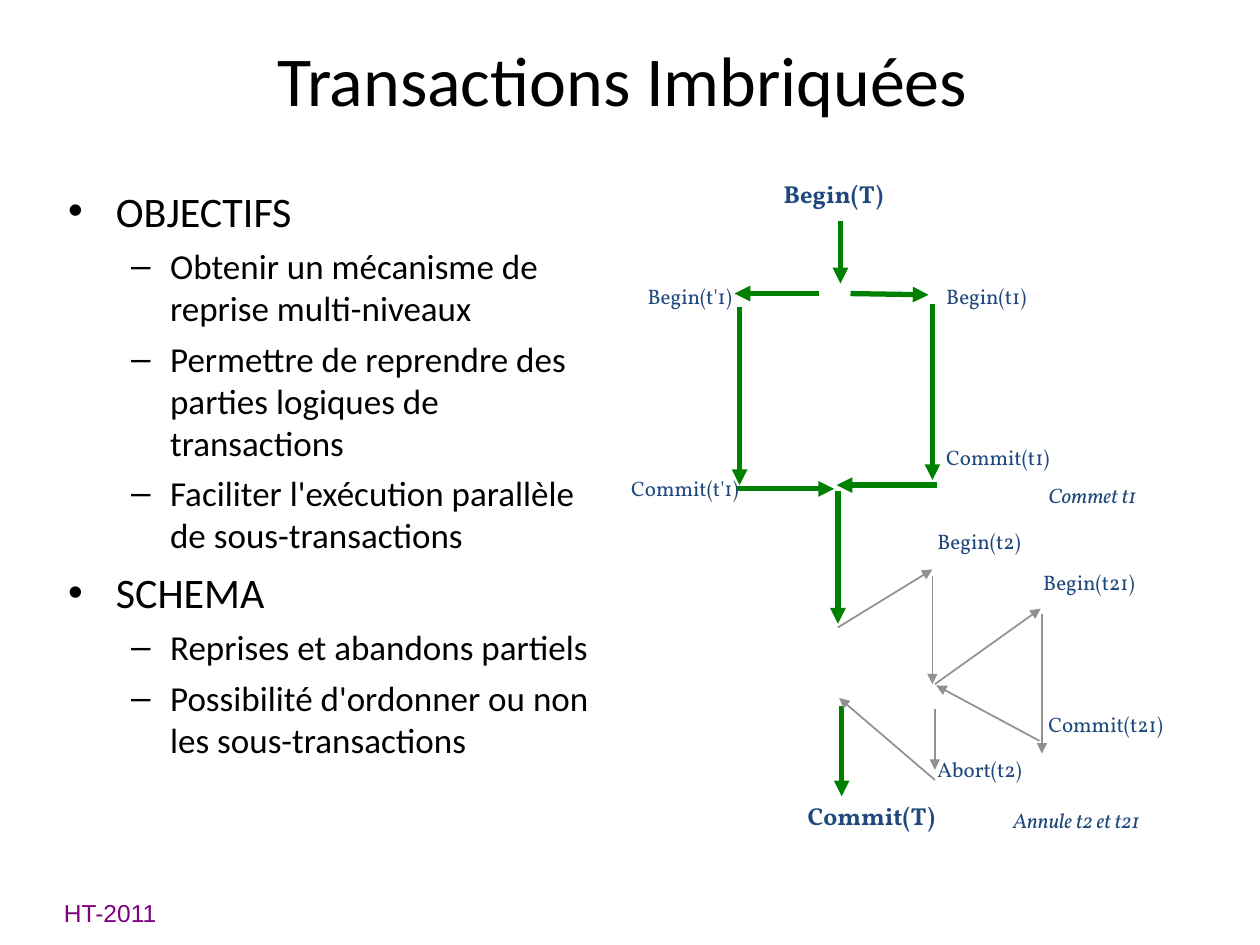
import pptx
import pptx.util
import pptx.dml.color
import pptx.enum.shapes
import pptx.enum.text
import pptx.oxml.ns
from lxml import etree

PX = 9144  # EMU per px, 100 px to the inch
COLORS = {"done": "008000", "partial": "919191", "label": "1F497D",
          "footer": "800080", "text": "000000"}


def px(length):
    return pptx.util.Emu(length * PX)


def rgb(name):
    return pptx.dml.color.RGBColor.from_string(COLORS[name])


class SlideBuilder:
    body_font = "Calibri"
    label_font = "Vollkorn"
    line_widths = {"done": 3, "partial": 1}
    # level: (size, left margin, indent, space before)
    levels = {0: (24, 38, -38, 6), 1: (20, 81, -31, 5)}

    def __init__(self, slide):
        self.slide = slide

    def style(self, font, color, **values):
        for name, value in values.items():
            setattr(font, name, value)
        font.color.rgb = rgb(color)

    def place(self, shape, box):
        for name, value in zip(("left", "top", "width", "height"), box):
            setattr(shape, name, px(value))

    def title(self, text, box):
        heading = self.slide.shapes.title
        self.place(heading, box)
        frame = heading.text_frame
        frame.text = text
        frame.auto_size = pptx.enum.text.MSO_AUTO_SIZE.NONE
        frame.vertical_anchor = pptx.enum.text.MSO_ANCHOR.MIDDLE
        paragraph = frame.paragraphs[0]
        paragraph.alignment = pptx.enum.text.PP_ALIGN.CENTER
        self.style(paragraph.runs[0].font, "text",
                   name=self.body_font, size=pptx.util.Pt(40))

    def outline(self, items, box):
        body = self.slide.placeholders[1]
        self.place(body, box)
        frame = body.text_frame
        frame.text = "\n".join(text for _, text in items)
        frame.auto_size = pptx.enum.text.MSO_AUTO_SIZE.NONE
        for paragraph, (level, _) in zip(frame.paragraphs, items):
            size, margin, indent, before = self.levels[level]
            paragraph.level = level
            paragraph.space_before = pptx.util.Pt(before)
            properties = paragraph._p.get_or_add_pPr()
            properties.set("marL", str(px(margin)))
            properties.set("indent", str(px(indent)))
            self.style(paragraph.runs[0].font, "text",
                       name=self.body_font, size=pptx.util.Pt(size))

    def label(self, text, box, color="label", insets=(5, 2, 5, 2),
              spacing=0.92, wrap=False, **font):
        label = self.slide.shapes.add_textbox(*map(px, box))
        frame = label.text_frame
        frame.word_wrap = wrap
        frame.auto_size = pptx.enum.text.MSO_AUTO_SIZE.SHAPE_TO_FIT_TEXT
        for side, inset in zip(("left", "top", "right", "bottom"), insets):
            setattr(frame, f"margin_{side}", px(inset))
        frame.text = text
        paragraph = frame.paragraphs[0]
        paragraph.line_spacing = spacing
        values = {"name": self.label_font, "size": pptx.util.Pt(12), **font}
        self.style(paragraph.runs[0].font, color, **values)

    def arrow(self, kind, ends):
        arrow = self.slide.shapes.add_connector(
            pptx.enum.shapes.MSO_CONNECTOR.STRAIGHT, *map(px, ends))
        arrow.line.width = pptx.util.Pt(self.line_widths[kind])
        arrow.line.color.rgb = rgb(kind)
        qn = pptx.oxml.ns.qn
        etree.SubElement(arrow.line._get_or_add_ln(), qn("a:tailEnd"), type="triangle")
        etree.SubElement(arrow._element.spPr, qn("a:effectLst"))


def main():
    deck = pptx.Presentation()
    deck.slide_width, deck.slide_height = px(1000), px(750)
    builder = SlideBuilder(deck.slides.add_slide(deck.slide_layouts[1]))

    # Title and outline
    builder.title("Transactions Imbriquées", (44, 25, 900, 75))
    builder.outline([
        (0, "OBJECTIFS"),
        (1, "Obtenir un mécanisme de reprise multi-niveaux"),
        (1, "Permettre de reprendre des parties logiques de transactions"),
        (1, "Faciliter l'exécution parallèle de sous-transactions"),
        (0, "SCHEMA"),
        (1, "Reprises et abandons partiels"),
        (1, "Possibilité d'ordonner ou non les sous-transactions"),
    ], (44, 142, 442, 550))

    # Arrows: x and y of the start, then of the head
    paths = {
        "done": [
            (667, 175, 667, 225),  # T splits into t1 and t'1
            (675, 233, 737, 234), (740, 241, 740, 381), (744, 385, 664, 385),
            (650, 233, 583, 233), (587, 244, 587, 385), (585, 388, 662, 388),
            (665, 390, 665, 495), (668, 560, 668, 632),  # T goes on
        ],
        "partial": [
            (665, 498, 740, 452), (740, 457, 740, 543),  # t2
            (742, 543, 826, 483), (827, 487, 827, 598), (825, 588, 743, 544),  # t21
            (742, 563, 742, 611), (742, 619, 666, 554),  # abort of t2
        ],
    }
    for kind, arrows in paths.items():
        for ends in arrows:
            builder.arrow(kind, ends)

    # Main transaction
    main_font = {"size": pptx.util.Pt(14), "bold": True}
    builder.label("Begin(T)", (617, 142, 100, 25), wrap=True, **main_font)
    builder.label("Commit(T)", (636, 636, 116, 25), wrap=True, **main_font)

    # Nested transactions
    for text, left, top, width in [
        ("Begin(t1)", 746, 225, 81), ("Commit(t1)", 746, 353, 98),
        ("Begin(t'1)", 509, 225, 84), ("Commit(t'1)", 496, 377, 102),
        ("Begin(t2)", 739, 419, 81), ("Abort(t2)", 739, 600, 81),
        ("Begin(t21)", 823, 452, 90), ("Commit(t21)", 827, 565, 108),
    ]:
        builder.label(text, (left, top, width, 22))

    # Outcomes
    builder.label("Commet t1", (827, 383, 93, 22), italic=True)
    builder.label("Annule t2 et t21", (799, 641, 132, 22), italic=True)

    # Footer
    builder.label("HT-2011", (41, 708, 96, 28), color="footer", insets=(10, 5, 10, 0),
                  spacing=1.0, name="Arial", size=pptx.util.Pt(14))

    deck.save("out.pptx")


if __name__ == "__main__":
    main()
